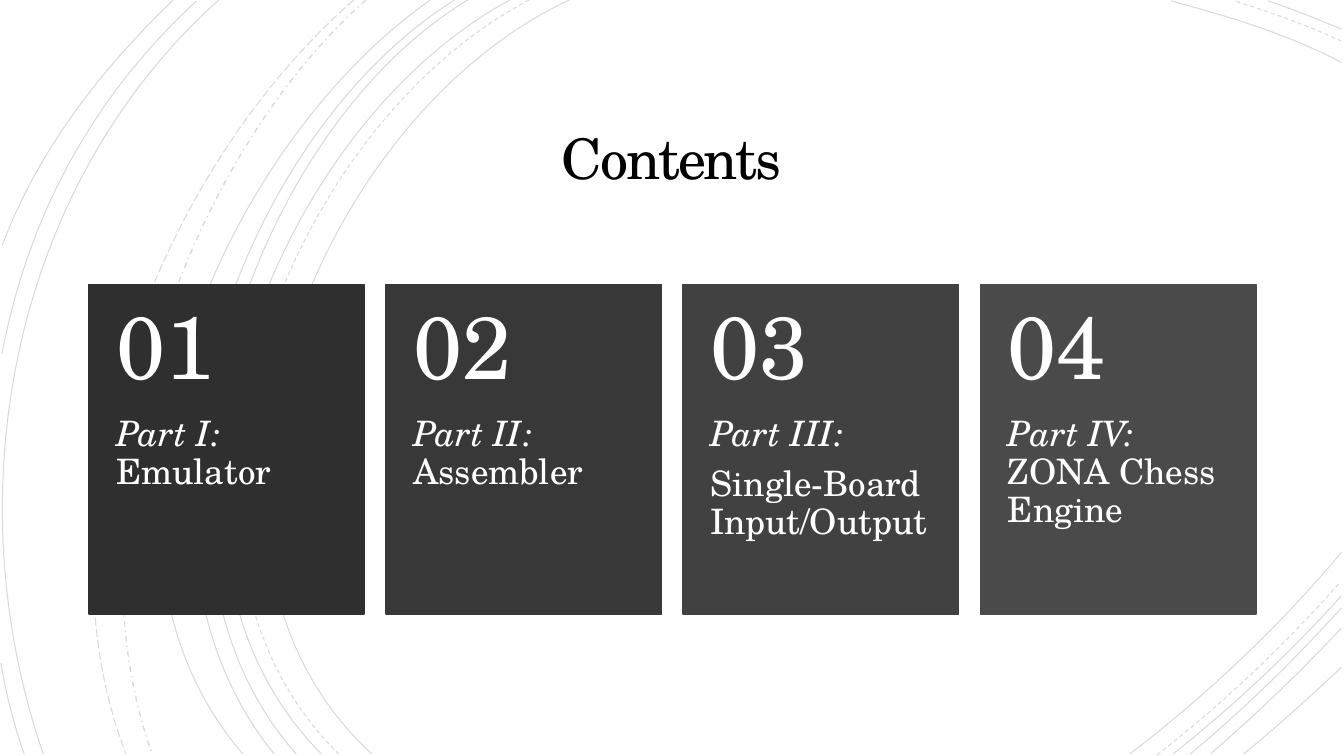
from lxml import etree
from pptx import Presentation
from pptx import util as u
from pptx.dml.color import RGBColor
from pptx.enum import dml, shapes, text
from pptx.oxml import ns

FONT = "TeX Gyre Schola"
BLACK = RGBColor(0x00, 0x00, 0x00)
WHITE = RGBColor(0xFF, 0xFF, 0xFF)
CARD_GREYS = [RGBColor(0x2F, 0x2F, 0x2F), RGBColor(0x38, 0x38, 0x38),
              RGBColor(0x42, 0x41, 0x41), RGBColor(0x4B, 0x4A, 0x4A)]

CM_PER_INCH = 2.54
CARD_LEFT, CARD_TOP, CARD_PITCH = 2.24, 7.17, 7.49
CARD_WIDTH, CARD_HEIGHT, NUMBER_HEIGHT = 6.94, 8.31, 3.33

# Each part holds paragraphs; each paragraph holds (words, italic) runs.
PARTS = [
    [[("Part I: ", True), ("Emulator", False)]],
    [[("Part II:", True), (" Assembler", False)]],
    [[("Part III:", True)], [("Single-Board Input/Output", False)]],
    [[("Part IV: ", True), ("ZONA Chess Engine", False)]],
]

# Cubic curves in inches: start, two control points, end.
ARCS = {
    (dml.MSO_LINE.SOLID, 0.75): [
        [(5.65, 0), (3.15, 1.15), (1.43, 5.4), (3.69, 7.48)],
        [(5.06, 0), (2.7, 1.27), (1.1, 5.37), (3.19, 7.48)],
        [(4.64, 0), (2.44, 1.33), (1.1, 5.41), (2.94, 7.48)],
        [(4.51, 0), (2.31, 1.38), (0.97, 5.33), (2.72, 7.48)],
        [(4.27, 0), (2.17, 1.47), (0.53, 5.29), (2.41, 7.48)],
        [(2.17, 0), (0.11, 1.85), (-0.46, 4.9), (0.43, 7.48)],
        [(1.95, 0.01), (0.92, 0.96), (0.28, 2.14), (0.02, 3.51)],
        [(1.72, 0), (1, 0.69), (0.37, 1.5), (0.02, 2.44)],
        [(0.01, 6.58), (0.06, 6.89), (0.14, 7.19), (0.24, 7.48)],
        [(13.31, 0.62), (12.78, 0.34), (12.18, 0.16), (11.62, 0.01)],
        [(13.31, 0.29), (13.07, 0.19), (12.83, 0.09), (12.58, 0.01)],
        [(11.21, 7.48), (11.97, 6.9), (12.69, 6.22), (13.31, 5.48)],
        [(11.64, 7.48), (12.23, 7.01), (12.8, 6.48), (13.31, 5.91)],
        [(11.81, 7.48), (12.34, 7.04), (12.84, 6.55), (13.31, 6.03)],
        [(12.01, 7.48), (12.46, 7.09), (12.9, 6.67), (13.31, 6.23)],
        [(12.34, 7.48), (12.67, 7.21), (12.99, 6.92), (13.31, 6.62)],
    ],
    (dml.MSO_LINE.DASH, 0.75): [
        [(5.25, 0), (2.85, 1.25), (1.23, 5.37), (3.36, 7.48)],
        [(13.31, 0.41), (12.97, 0.25), (12.6, 0.12), (12.25, 0.01)],
        [(11.48, 7.49), (12.13, 6.98), (12.75, 6.4), (13.3, 5.77)],
    ],
    (dml.MSO_LINE.DASH_DOT, 1): [
        [(3.63, 0), (1.76, 1.66), (0.65, 5.09), (1.51, 7.48)],
    ],
    (dml.MSO_LINE.LONG_DASH, 0.75): [
        [(3.51, 0), (1.57, 1.69), (0.29, 4.99), (1.25, 7.48)],
    ],
}


def apply_format(target, values):
    for attribute, value in values.items():
        setattr(target, attribute, value)


def add_arc(slide, curve, dash, weight):
    """Draw the control polygon, then turn its three sides into one curve."""
    start, *rest = [tuple(u.Cm(value * CM_PER_INCH) for value in point)
                    for point in curve]
    builder = slide.shapes.build_freeform(*start)
    builder.add_line_segments(rest, close=False)
    arc = builder.convert_to_shape()
    arc.shadow.inherit = False
    arc.fill.background()
    arc.line.color.rgb = BLACK
    apply_format(arc.line, {"width": u.Pt(weight), "dash_style": dash})

    sides = arc.element.xpath(".//a:lnTo")
    outline = sides[0].getparent()
    bezier = etree.SubElement(outline, ns.qn("a:cubicBezTo"))
    for side in sides:
        bezier.append(side[0])
        outline.remove(side)
    ink = arc.element.xpath(".//a:ln//a:srgbClr")[0]
    etree.SubElement(ink, ns.qn("a:alpha"), val="15000")


def add_text(slide, box, paragraphs, size, color, spacing, frame_format):
    """Place paragraphs of (words, italic) runs in a box given in cm."""
    frame = slide.shapes.add_textbox(*map(u.Cm, box)).text_frame
    apply_format(frame, {"word_wrap": True, **frame_format})
    for index, runs in enumerate(paragraphs):
        paragraph = frame.paragraphs[0] if index == 0 else frame.add_paragraph()
        paragraph.line_spacing = spacing
        if index < len(paragraphs) - 1:
            paragraph.space_after = u.Pt(0.35 * size)
        for words, italic in runs:
            run = paragraph.add_run()
            run.text = words
            apply_format(run.font, {"name": FONT, "size": u.Pt(size),
                                    "italic": italic})
            run.font.color.rgb = color
    return frame


def margins(side, top, bottom):
    return {"margin_left": u.Cm(side), "margin_right": u.Cm(side),
            "margin_top": u.Cm(top), "margin_bottom": u.Cm(bottom)}


def add_title(slide, words):
    frame = add_text(slide, (4.88, 2.62, 24.1, 2.92), [[(words, False)]],
                     40, BLACK, 0.85,
                     {"vertical_anchor": text.MSO_ANCHOR.MIDDLE,
                      **margins(0.64, 0.64, 0.64)})
    heading = frame.paragraphs[0]
    heading.alignment = text.PP_ALIGN.CENTER
    heading.runs[0].font._element.set("spc", "-150")


def add_card(slide, index, grey, part):
    left = CARD_LEFT + index * CARD_PITCH
    card = slide.shapes.add_shape(
        shapes.MSO_SHAPE.RECTANGLE,
        *map(u.Cm, (left, CARD_TOP, CARD_WIDTH, CARD_HEIGHT)))
    card.shadow.inherit = False
    card.fill.solid()
    card.fill.fore_color.rgb = grey
    card.line.color.rgb = grey
    card.line.width = u.Pt(1.25)

    label_box = (left, CARD_TOP + NUMBER_HEIGHT,
                 CARD_WIDTH, CARD_HEIGHT - NUMBER_HEIGHT)
    add_text(slide, label_box, part, 25, WHITE, 0.9, margins(0.69, 0, 0.91))
    add_text(slide, (left, CARD_TOP, CARD_WIDTH, NUMBER_HEIGHT),
             [[(f"{index + 1:02}", False)]], 63, WHITE, 0.9,
             {"vertical_anchor": text.MSO_ANCHOR.MIDDLE,
              **margins(0.69, 0.46, 0.46)})


def main():
    deck = Presentation()
    apply_format(deck, {"slide_width": u.Cm(33.87), "slide_height": u.Cm(19.05)})
    slide = deck.slides.add_slide(deck.slide_layouts[6])
    for (dash, weight), curves in ARCS.items():
        for curve in curves:
            add_arc(slide, curve, dash, weight)
    add_title(slide, "Contents")
    for index, (grey, part) in enumerate(zip(CARD_GREYS, PARTS)):
        add_card(slide, index, grey, part)
    deck.save("out.pptx")


if __name__ == "__main__":
    main()
